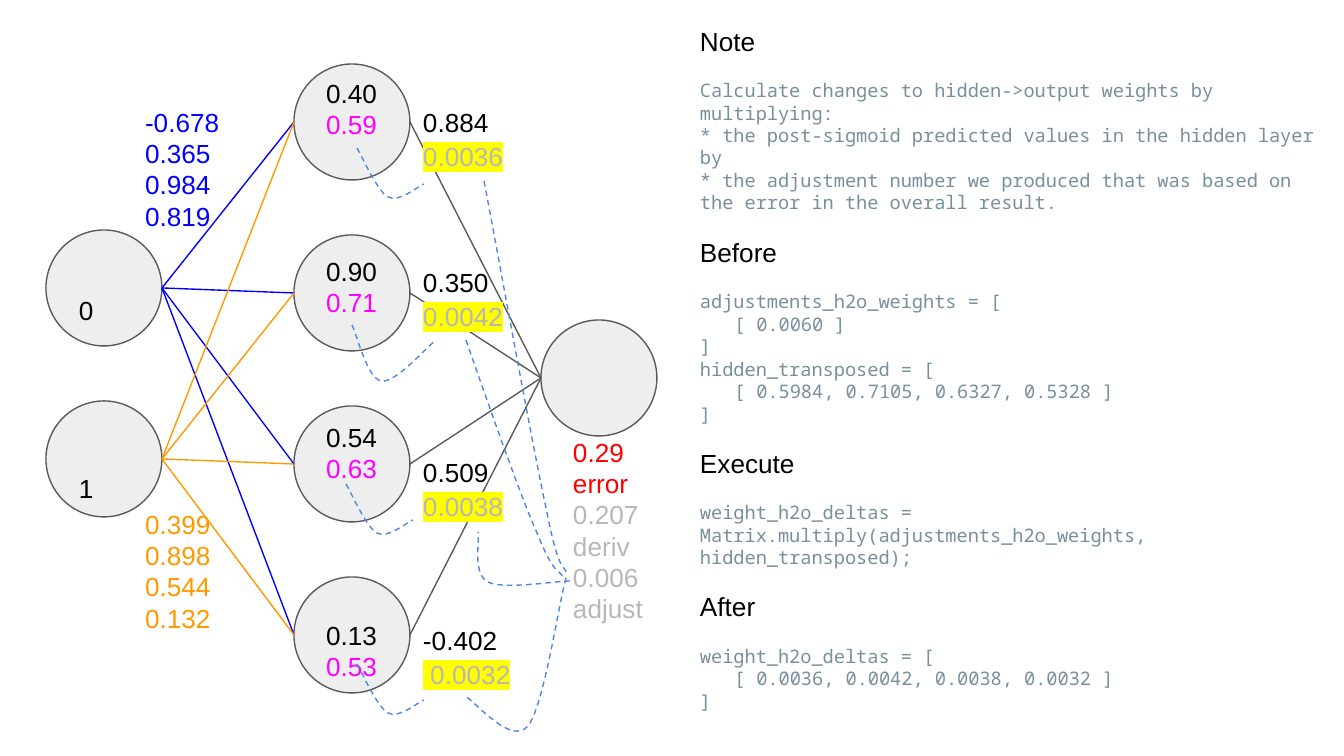
from lxml import etree
from pptx import Presentation
from pptx.dml.color import RGBColor
from pptx.enum.dml import MSO_LINE
from pptx.enum.shapes import MSO_CONNECTOR, MSO_SHAPE
from pptx.oxml.ns import qn
from pptx.util import Emu, Pt

STRAIGHT = MSO_CONNECTOR.STRAIGHT
OVAL = MSO_SHAPE.OVAL
DASH = MSO_LINE.DASH
PX = 914400 / 134.4
COLORS = {
    "black": "000000", "blue": "0000FF", "orange": "FF9900", "magenta": "FF00FF",
    "red": "FF0000", "silver": "B7B7B7", "yellow": "FFFF00", "code": "78909C",
    "node": "EEEEEE", "edge": "595959", "flow": "4A86E8",
}
NODE = 116
INSET = 13

prs = Presentation()
prs.slide_width, prs.slide_height = Emu(round(1344 * PX)), Emu(round(756 * PX))
slide = prs.slides.add_slide(prs.slide_layouts[6])
shapes = slide.shapes


def px(*values):
    return [Emu(round(value * PX)) for value in values]


def add_lines(left, top, width, height, lines, highlight=None):
    """Add a text box; each line is (text, colour, size, font, space before, indent)."""
    frame = shapes.add_textbox(*px(left, top, width, height)).text_frame
    frame.word_wrap = True
    frame.margin_left = frame.margin_right = px(INSET)[0]
    frame.margin_top = frame.margin_bottom = px(INSET)[0]
    for i, (text, color, size, font, before, indent) in enumerate(lines):
        paragraph = frame.add_paragraph() if i else frame.paragraphs[0]
        paragraph.text = text
        paragraph.line_spacing = Pt(16.8 if size == 14 else 12.05)
        paragraph.space_before = Pt(before)
        if indent:
            paragraph._p.get_or_add_pPr().set("marL", str(px(indent)[0]))
        run = paragraph.runs[0]
        run.font.size, run.font.name = Pt(size), font
        run.font.color.rgb = RGBColor.from_string(COLORS[color])
        if highlight:
            mark = etree.Element(qn("a:highlight"))
            etree.SubElement(mark, qn("a:srgbClr")).set("val", COLORS[highlight])
            run._r.rPr.find(qn("a:solidFill")).addnext(mark)


# Nodes of the three layers
input_nodes = [(46, 401), (46, 230)]
hidden_nodes = [(294, 64 + 171 * i) for i in range(4)]
output_node = (541, 320)
for x, y in input_nodes + hidden_nodes + [output_node]:
    node = shapes.add_shape(OVAL, *px(x, y, NODE, NODE))
    node.shadow.inherit = False
    node.fill.solid()
    node.fill.fore_color.rgb = RGBColor.from_string(COLORS["node"])
    node.line.color.rgb = RGBColor.from_string(COLORS["edge"])
    node.line.width = Pt(0.75)

# Weights drawn as lines from right side to left side of the nodes
second_input, first_input = input_nodes
edges = [(first_input, hidden, "blue") for hidden in hidden_nodes]
edges += [(hidden, output_node, "edge") for hidden in hidden_nodes]
edges += [(second_input, hidden, "orange") for hidden in hidden_nodes]
for (x1, y1), (x2, y2), color in edges:
    edge = shapes.add_connector(
        STRAIGHT, *px(x1 + NODE, y1 + NODE / 2, x2, y2 + NODE / 2))
    edge.line.color.rgb = RGBColor.from_string(COLORS[color])
    edge.line.width = Pt(0.75)
    etree.SubElement(edge._element.spPr, qn("a:effectLst"))

# Values beside and inside the nodes
hidden_values = [
    (64, "0.40", "0.59"), (242, "0.90", "0.71"), (408, "0.54", "0.63"), (606, "0.13", "0.53"),
]
value_columns = [
    (66, 281, 78, [("0", "black")]),
    (66, 459, 78, [("1", "black")]),
    (132, 93, 132, [(t, "blue") for t in ("-0.678", "0.365", "0.984", "0.819")]),
    (132, 495, 132, [(t, "orange") for t in ("0.399", "0.898", "0.544", "0.132")]),
    (560, 423, 108, [("0.29 error", "red")]
     + [(t, "silver") for t in ("0.207", "deriv", "0.006", "adjust")]),
]
value_columns += [(313, top, 108, [(raw, "black"), (sigmoid, "magenta")])
                  for top, raw, sigmoid in hidden_values]
for left, top, width, values in value_columns:
    add_lines(left, top, width, 40,
              [(text, color, 14, "Arial", 0, 0) for text, color in values])

# Output weights with their highlighted deltas
output_weights = [
    (93, "0.884", "0.0036"), (253, "0.350", "0.0042"),
    (443, "0.509", "0.0038"), (611, "-0.402", " 0.0032"),
]
for top, weight, delta in output_weights:
    add_lines(410, top, 125, 40, [(weight, "black", 14, "Arial", 0, 0)])
    add_lines(410, top + 34, 125, 40, [(delta, "silver", 14, "Arial", 0, 0)], "yellow")

# Dashed flows: a start point followed by two cubic Bezier segments
sigmoid_flow = [(0, 0), (5, 8), (20, 43), (31, 49), (42, 55), (60, 39), (67, 36)]
flows = [[(x + dx, y + dy) for dx, dy in sigmoid_flow]
         for x, y in ((357, 148), (346, 484), (357, 664))]
flows += [
    [(352, 325), (357, 335), (367, 378), (381, 381), (395, 384), (426, 348), (435, 341)],
    [(566, 578), (559, 602), (544, 706), (528, 726), (511, 746), (476, 702), (465, 696)],
    [(570, 581), (556, 581), (503, 590), (488, 582), (472, 574), (480, 540), (478, 532)],
    [(466, 340), (478, 374), (520, 496), (538, 535), (554, 575), (559, 570), (564, 577)],
    [(484, 181), (495, 237), (532, 444), (546, 508), (559, 574), (563, 563), (567, 574)],
]
for flow in flows:
    builder = shapes.build_freeform(*px(*flow[0]))
    builder.add_line_segments([px(*flow[3]), px(*flow[6])], close=False)
    curve = builder.convert_to_shape()
    segments = list(curve._element.iter(qn("a:lnTo")))
    for segment, first in zip(segments, (1, 4)):
        bezier = etree.Element(qn("a:cubicBezTo"))
        for point in flow[first:first + 3]:
            x, y = px(*point)
            pt = etree.SubElement(bezier, qn("a:pt"))
            pt.set("x", str(x - curve.left))
            pt.set("y", str(y - curve.top))
        segment.getparent().replace(segment, bezier)
    curve.shadow.inherit = False
    curve.fill.background()
    curve.line.color.rgb = RGBColor.from_string(COLORS["flow"])
    curve.line.width = Pt(0.75)
    curve.line.dash_style = DASH

# Explanation on the right: headings, each with (text, indent) code lines
sections = [
    ("Note", [
        ("Calculate changes to hidden->output weights by multiplying:", 0),
        ("* the post-sigmoid predicted values in the hidden layer by", 0),
        ("* the adjustment number we produced that was based on the error "
         "in the overall result.", 0)]),
    ("Before", [
        ("adjustments_h2o_weights = [", 0), ("[ 0.0060 ]", 34), ("]", 0),
        ("hidden_transposed = [", 0), ("[ 0.5984, 0.7105, 0.6327, 0.5328 ]", 34), ("]", 0)]),
    ("Execute", [
        ("weight_h2o_deltas = Matrix.multiply(adjustments_h2o_weights, "
         "hidden_transposed);", 0)]),
    ("After", [
        ("weight_h2o_deltas = [", 0), ("[ 0.0036, 0.0042, 0.0038, 0.0032 ]", 34), ("]", 0)]),
]
explanation = []
for heading, code in sections:
    explanation.append((heading, "black", 14, "Arial", 12 if explanation else 0, 0))
    for i, (text, indent) in enumerate(code):
        explanation.append((text, "code", 10, "Noto Sans Mono", 0 if i else 12, indent))
add_lines(687, 12, 646, 101, explanation)

prs.save("out.pptx")
